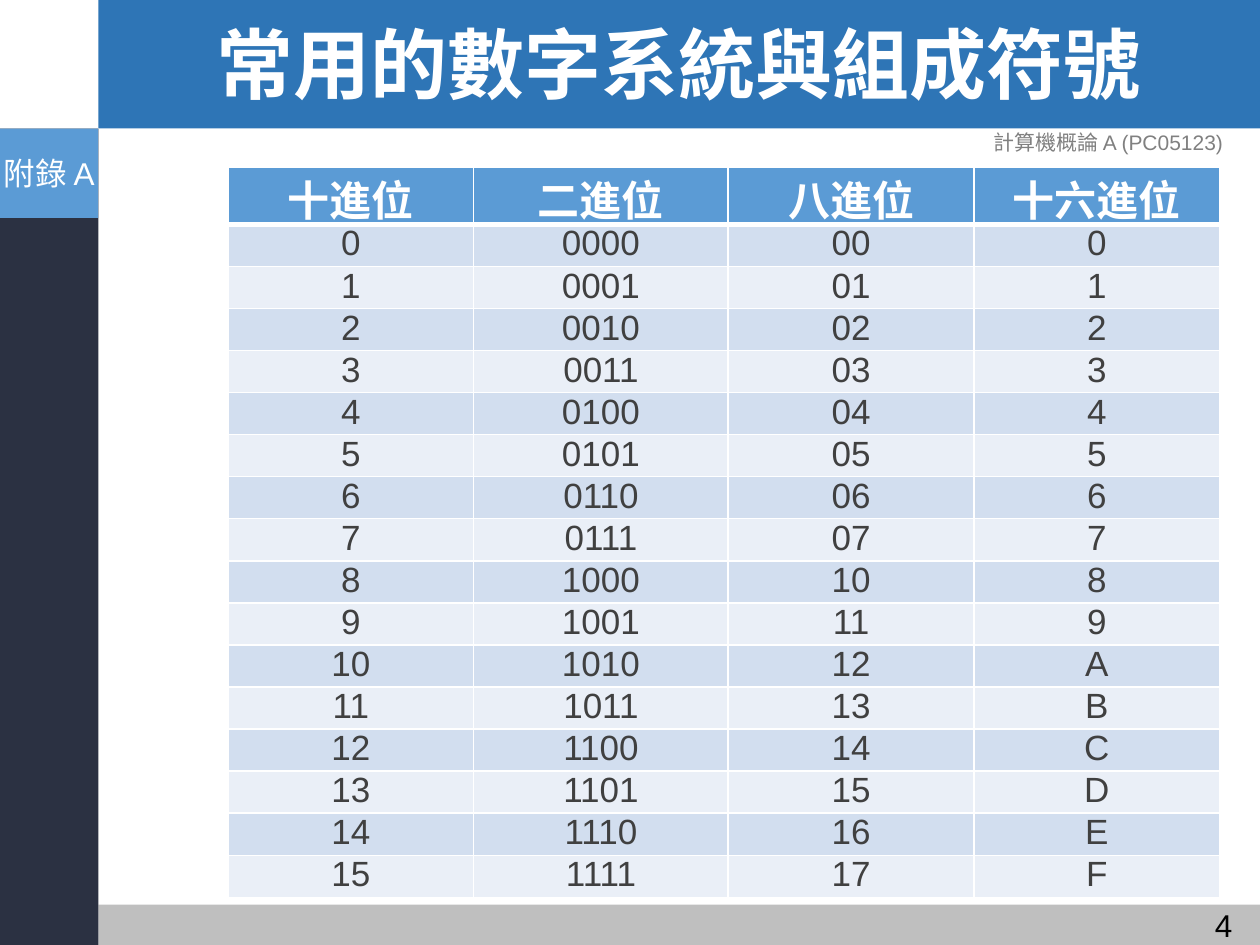
import dataclasses
import pptx
import pptx.dml.color
import pptx.enum.shapes
import pptx.enum.text
import pptx.oxml.ns
import pptx.util
from lxml import etree

PX = 914400 // 200  # 200 px to the inch
ALIGN = pptx.enum.text.PP_ALIGN
ANCHOR = pptx.enum.text.MSO_ANCHOR


@dataclasses.dataclass(frozen=True)
class Theme:
    font: str = "Arial"
    display: str = "Montserrat"
    white: str = "FFFFFF"
    black: str = "000000"
    banner: str = "2E75B6"
    accent: str = "5B9BD5"
    footer: str = "BFBFBF"
    side: str = "2B3142"
    course: str = "808080"
    body: str = "404040"
    bands: tuple = ("D2DEEF", "EAEFF7")
    title_size: int = 44
    head_size: int = 24
    cell_size: int = 20
    label_size: int = 18
    note_size: int = 12


def color(code):
    return pptx.dml.color.RGBColor.from_string(code)


def paint(fill, code):
    fill.solid()
    fill.fore_color.rgb = color(code)


def assign(item, values):
    for name, value in values.items():
        setattr(item, name, value)


@dataclasses.dataclass
class Painter:
    theme: Theme
    slide: object

    def letter(self, frame, text, size, code, font=None, bold=False,
               align=ALIGN.CENTER, spacing=None):
        line = frame.paragraphs[0]
        line.text = text
        assign(line, {"alignment": align, "line_spacing": spacing})
        style = line.runs[0].font
        assign(style, {"name": font or self.theme.font, "bold": bold,
                       "size": pptx.util.Pt(size)})
        style.color.rgb = color(code)

    def block(self, box, code):
        kind = pptx.enum.shapes.MSO_SHAPE.RECTANGLE
        shape = self.slide.shapes.add_shape(kind, *(n * PX for n in box))
        shape.shadow.inherit = False
        paint(shape.fill, code)
        shape.line.fill.background()
        return shape

    def badge(self, box, code, text):
        frame = self.block(box, code).text_frame
        sides = ("left", "top", "right", "bottom")
        assign(frame, {f"margin_{side}": 8 * PX for side in sides})
        assign(frame, {"word_wrap": False, "vertical_anchor": ANCHOR.MIDDLE})
        self.letter(frame, text, self.theme.label_size, self.theme.white)

    def label(self, box, text, size, code, anchor=ANCHOR.MIDDLE, **look):
        frame = self.slide.shapes.add_textbox(*(n * PX for n in box)).text_frame
        assign(frame, {"word_wrap": True, "vertical_anchor": anchor})
        self.letter(frame, text, size, code, **look)

    def edge(self, cell, widths):
        tag = pptx.oxml.ns.qn
        props = cell._tc.get_or_add_tcPr()
        for side, width in zip("LRTB", widths):
            line = etree.SubElement(props, tag(f"a:ln{side}"),
                                    w=str(int(pptx.util.Pt(width))))
            fill = etree.SubElement(line, tag("a:solidFill"))
            etree.SubElement(fill, tag("a:srgbClr"), val=self.theme.white)

    def cell(self, cell, text, row):
        theme, head = self.theme, row == 0
        self.edge(cell, (1, 1, 3 if row == 1 else 1, 3 if head else 1))
        paint(cell.fill, theme.accent if head else theme.bands[(row - 1) % 2])
        assign(cell, {
            "margin_left": 14 * PX, "margin_right": 14 * PX,
            "margin_top": 0, "margin_bottom": 0,
            "vertical_anchor": ANCHOR.MIDDLE if head else ANCHOR.TOP,
        })
        self.letter(cell.text_frame, text,
                    theme.head_size if head else theme.cell_size,
                    theme.white if head else theme.body, bold=head)

    def table(self, left, top, widths, heights, rows):
        size = (sum(widths) * PX, sum(heights) * PX)
        grid = self.slide.shapes.add_table(
            len(rows), len(widths), left * PX, top * PX, *size).table
        for column, width in zip(grid.columns, widths):
            column.width = width * PX
        for line, height in zip(grid.rows, heights):
            line.height = height * PX
        for row, texts in enumerate(rows):
            for col, text in enumerate(texts):
                self.cell(grid.cell(row, col), text, row)


def main():
    deck = pptx.Presentation()
    assign(deck, {"slide_width": 2000 * PX, "slide_height": 1500 * PX})
    theme = Theme()
    page = Painter(theme, deck.slides.add_slide(deck.slide_layouts[6]))

    # Frame: banner, footer and side bar
    page.block((156, 0, 1844, 204), theme.banner)
    page.block((156, 1436, 1844, 64), theme.footer)
    page.block((-2, 204, 158, 1296), theme.side)

    # Title
    page.label((156, 6, 1844, 204), "常用的數字系統與組成符號",
               theme.title_size, theme.white, font=theme.display,
               bold=True, spacing=0.9)

    # The numbers 0 to 15 in each base
    heads = ("十進位", "二進位", "八進位", "十六進位")
    rows = [heads] + [(f"{n}", f"{n:04b}", f"{n:02o}", f"{n:X}")
                      for n in range(16)]
    page.table(362, 266, (390, 404, 390, 390), [90] + [63] * 16, rows)

    # Page number, course name and appendix badge
    page.label((1764, 1428, 212, 80), "4", theme.label_size, theme.black,
               anchor=ANCHOR.TOP, align=ALIGN.RIGHT)
    page.label((1518, 186, 482, 80), "計算機概論 A (PC05123)",
               theme.note_size, theme.course)
    page.badge((0, 204, 156, 142), theme.accent, "附錄 A")

    deck.save("out.pptx")


if __name__ == "__main__":
    main()
